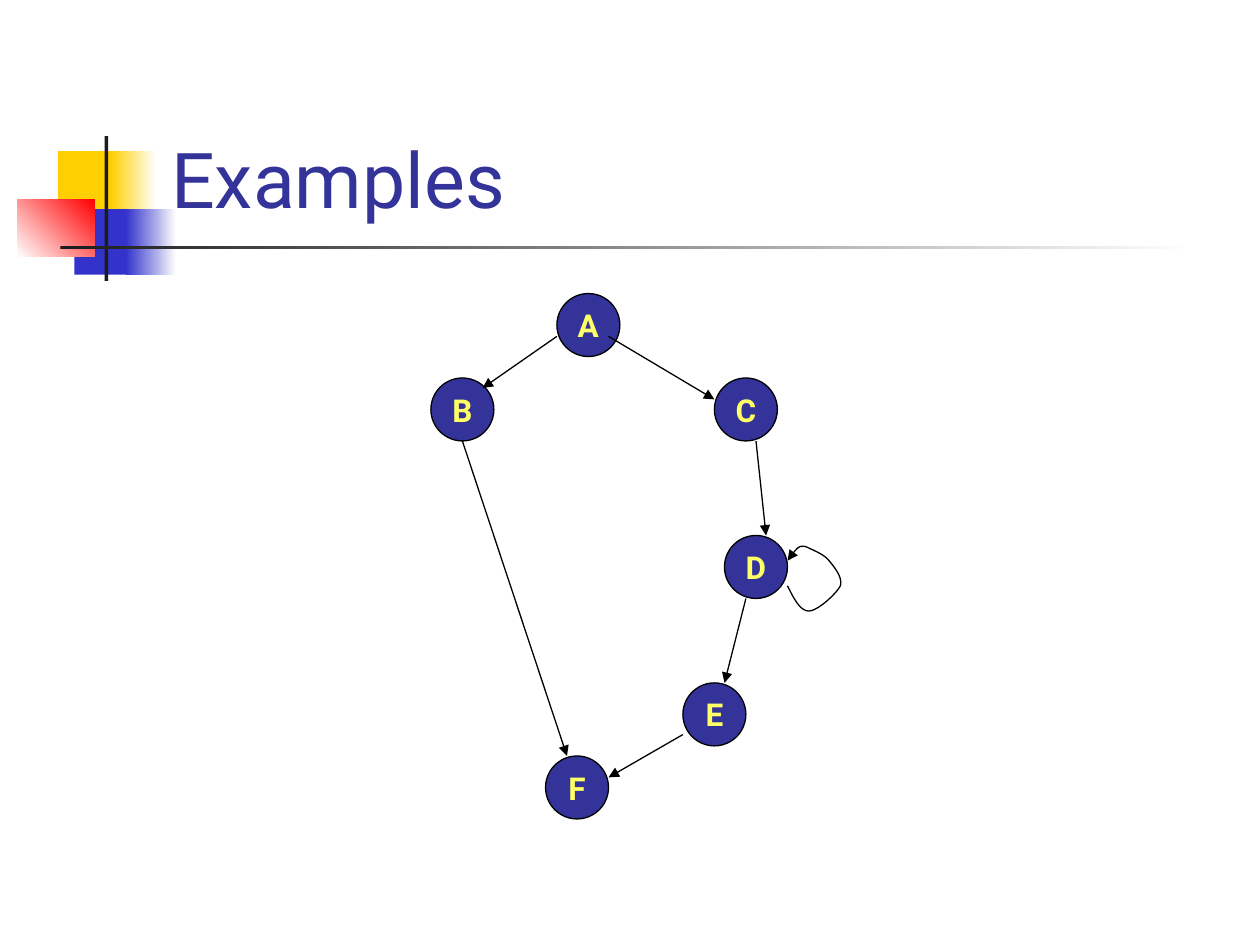
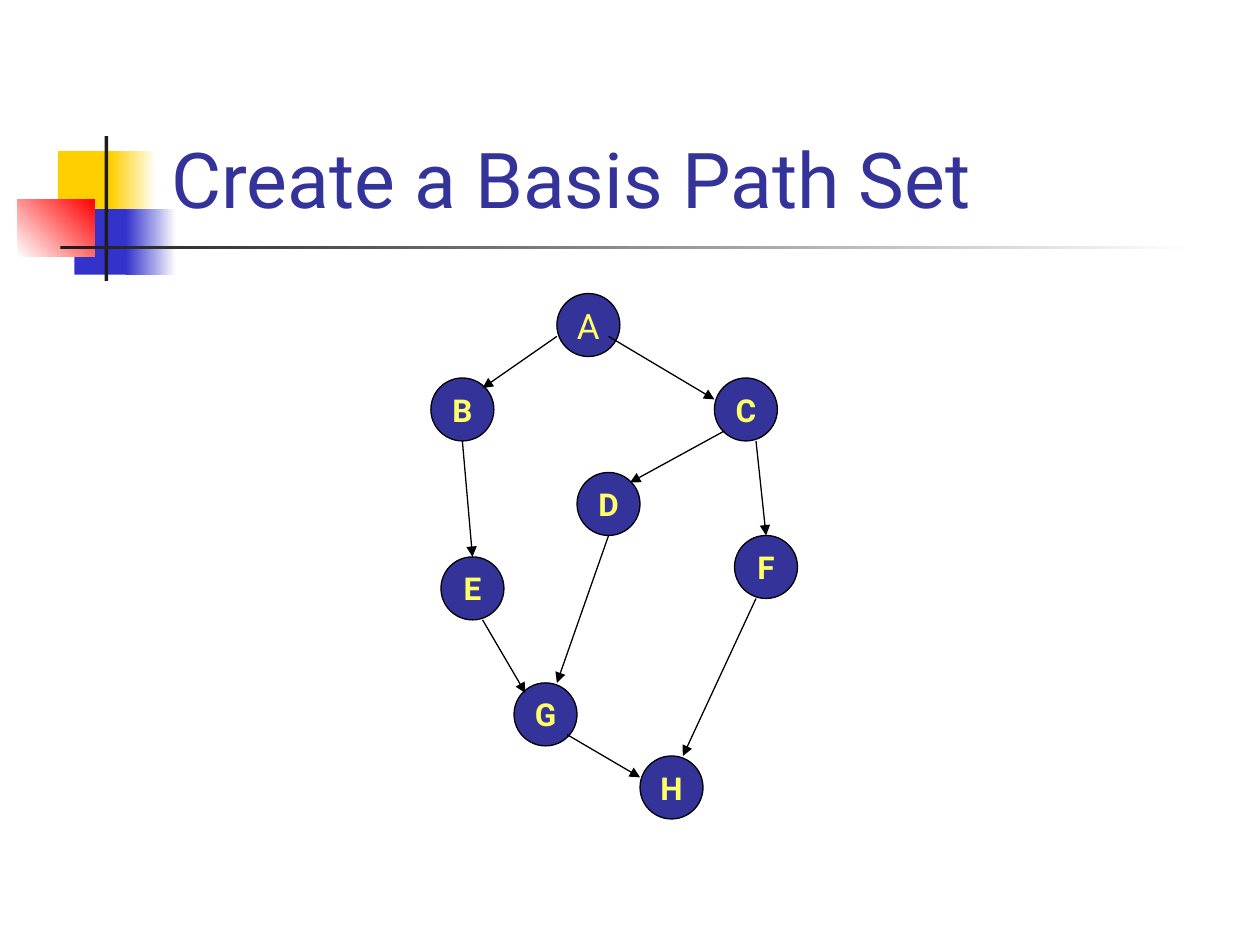
from dataclasses import dataclass

from lxml.etree import SubElement
from pptx import Presentation
from pptx.dml.color import RGBColor as Rgb
from pptx.enum.shapes import MSO_CONNECTOR as Link, MSO_SHAPE as Kind
from pptx.enum.text import MSO_ANCHOR as Anchor, PP_ALIGN as Align
from pptx.oxml.ns import qn
from pptx.util import Inches, Pt


@dataclass(frozen=True)
class Theme:
    font: str = "Roboto"
    title: str = "333399"
    node: str = "333399"
    label: str = "FFFF66"
    edge: str = "000000"
    gold: str = "FFCF01"
    blue: str = "3333CC"
    red: str = "FF0000"
    dark: str = "1C1C1C"
    white: str = "FFFFFF"
    title_size: int = 44
    label_size: int = 18
    first_size: int = 20
    line: float = 0.75
    node_width: float = 0.5


def put_text(shape, text, size, color, font, bold=False,
             align=Align.LEFT, anchor=Anchor.MIDDLE, wrap=True):
    frame = shape.text_frame
    frame.word_wrap = wrap
    frame.vertical_anchor = anchor
    para = frame.paragraphs[0]
    para.alignment = align
    run = para.add_run()
    run.text = text
    run.font.name = font
    run.font.size = Pt(size)
    run.font.bold = bold
    run.font.color.rgb = Rgb.from_string(color)


def curve_points(start, curves, steps=10):
    """Points along a chain of cubic curves, each given as two controls and an end."""
    points = []
    for one, two, end in curves:
        for step in range(1, steps + 1):
            t = step / steps
            u = 1 - t
            points.append(tuple(
                u**3 * a + 3 * u * u * t * b + 3 * u * t * t * c + t**3 * d
                for a, b, c, d in zip(start, one, two, end)))
        start = end
    return points


class Deck:
    """The theme and the slide being drawn."""

    def __init__(self, theme):
        self.theme = theme
        self.show = Presentation()
        self.show.slide_width = Inches(10)
        self.show.slide_height = Inches(7.5)
        self.slide = None

    def start(self, title):
        """Add a slide with the shared band and its title."""
        look = self.theme
        self.slide = self.show.slides.add_slide(self.show.slide_layouts[6])
        self.band(0.46, 1.2, 0.48, 0.52, look.gold)
        self.band(0.88, 1.2, 0.36, 0.52, look.gold, look.white)
        self.band(0.59, 1.66, 0.46, 0.52, look.blue)
        self.band(1, 1.66, 0.4, 0.52, look.blue, look.white)
        self.band(0.14, 1.58, 0.61, 0.46, look.white, look.red, angle=45)
        self.band(0.83, 1.08, 0.03, 1.15, look.dark)
        self.band(0.48, 1.95, 9, 0.03, look.dark, look.white)
        box = self.slide.shapes.add_textbox(
            Inches(1.26), Inches(0.23), Inches(8.52), Inches(1.6))
        put_text(box, title, look.title_size, look.title, look.font,
                 anchor=Anchor.BOTTOM)

    def shape(self, kind, x, y, width, height):
        item = self.slide.shapes.add_shape(
            kind, Inches(x), Inches(y), Inches(width), Inches(height))
        item.shadow.inherit = False
        return item

    def band(self, x, y, width, height, color, fade=None, angle=0):
        """Draw a plain block, or one that fades into a second colour."""
        item = self.shape(Kind.RECTANGLE, x, y, width, height)
        item.line.fill.background()
        if fade is None:
            item.fill.solid()
            item.fill.fore_color.rgb = Rgb.from_string(color)
            return
        item.fill.gradient()
        item.fill.gradient_angle = angle
        for stop, tint in zip(item.fill.gradient_stops, (color, fade)):
            stop.color.rgb = Rgb.from_string(tint)

    def stroke(self, item):
        item.line.color.rgb = Rgb.from_string(self.theme.edge)
        item.line.width = Pt(self.theme.line)

    def arrow(self, item):
        """Give a line its stroke and an arrowhead at the end."""
        self.stroke(item)
        SubElement(item.line._get_or_add_ln(), qn("a:tailEnd"), type="triangle")

    def node(self, name, x, y, size=None, bold=True):
        look = self.theme
        item = self.shape(Kind.OVAL, x, y, look.node_width, look.node_width)
        item.fill.solid()
        item.fill.fore_color.rgb = Rgb.from_string(look.node)
        self.stroke(item)
        put_text(item, name, size or look.label_size, look.label, look.font,
                 bold=bold, align=Align.CENTER, wrap=False)

    def edge(self, *ends):
        item = self.slide.shapes.add_connector(
            Link.STRAIGHT, *(Inches(end) for end in ends))
        self.arrow(item)
        SubElement(item._element.spPr, qn("a:effectLst"))

    def loop(self, start, curves):
        pen = self.slide.shapes.build_freeform(*(Inches(v) for v in start))
        pen.add_line_segments(
            [(Inches(x), Inches(y)) for x, y in curve_points(start, curves)],
            close=False)
        item = pen.convert_to_shape()
        item.shadow.inherit = False
        item.fill.background()
        self.arrow(item)

    def graph(self, nodes, edges, first=None):
        """Draw the shared top of the graph, then the given nodes and edges."""
        self.node("A", 4.42, 2.33, **(first or {}))
        for node in TOP_NODES + nodes:
            self.node(*node)
        for edge in TOP_EDGES + edges:
            self.edge(*edge)


TOP_NODES = [("B", 3.42, 3), ("C", 5.67, 3)]
TOP_EDGES = [
    (4.42, 2.67, 3.83, 3.08),
    (4.83, 2.67, 5.67, 3.17),
    (6, 3.5, 6.08, 4.25),
]


def main():
    theme = Theme()
    deck = Deck(theme)

    deck.start("Examples")
    deck.graph(
        [("D", 5.75, 4.25), ("E", 5.42, 5.42), ("F", 4.33, 6)],
        [(3.67, 3.5, 4.5, 6),
         (5.92, 4.75, 5.75, 5.42),
         (5.42, 5.83, 4.83, 6.17)])
    deck.loop((6.25, 4.65), [
        ((6.3, 4.75), (6.35, 4.85), (6.42, 4.85)),
        ((6.49, 4.85), (6.64, 4.71), (6.67, 4.65)),
        ((6.69, 4.58), (6.62, 4.5), (6.58, 4.45)),
        ((6.54, 4.4), (6.46, 4.37), (6.42, 4.35)),
        ((6.38, 4.33), (6.36, 4.33), (6.33, 4.35)),
        ((6.31, 4.37), (6.26, 4.43), (6.25, 4.45)),
    ])

    deck.start("Create a Basis Path Set")
    deck.graph(
        [("D", 4.58, 3.75), ("E", 3.5, 4.42), ("F", 5.83, 4.25),
         ("G", 4.08, 5.42), ("H", 5.08, 6)],
        [(3.67, 3.5, 3.75, 4.42),
         (5.75, 3.42, 5, 3.83),
         (4.83, 4.25, 4.42, 5.42),
         (3.83, 4.92, 4.17, 5.5),
         (4.5, 5.83, 5.08, 6.17),
         (6, 4.75, 5.42, 6)],
        first={"size": theme.first_size, "bold": False})

    deck.show.save("out.pptx")


if __name__ == "__main__":
    main()
